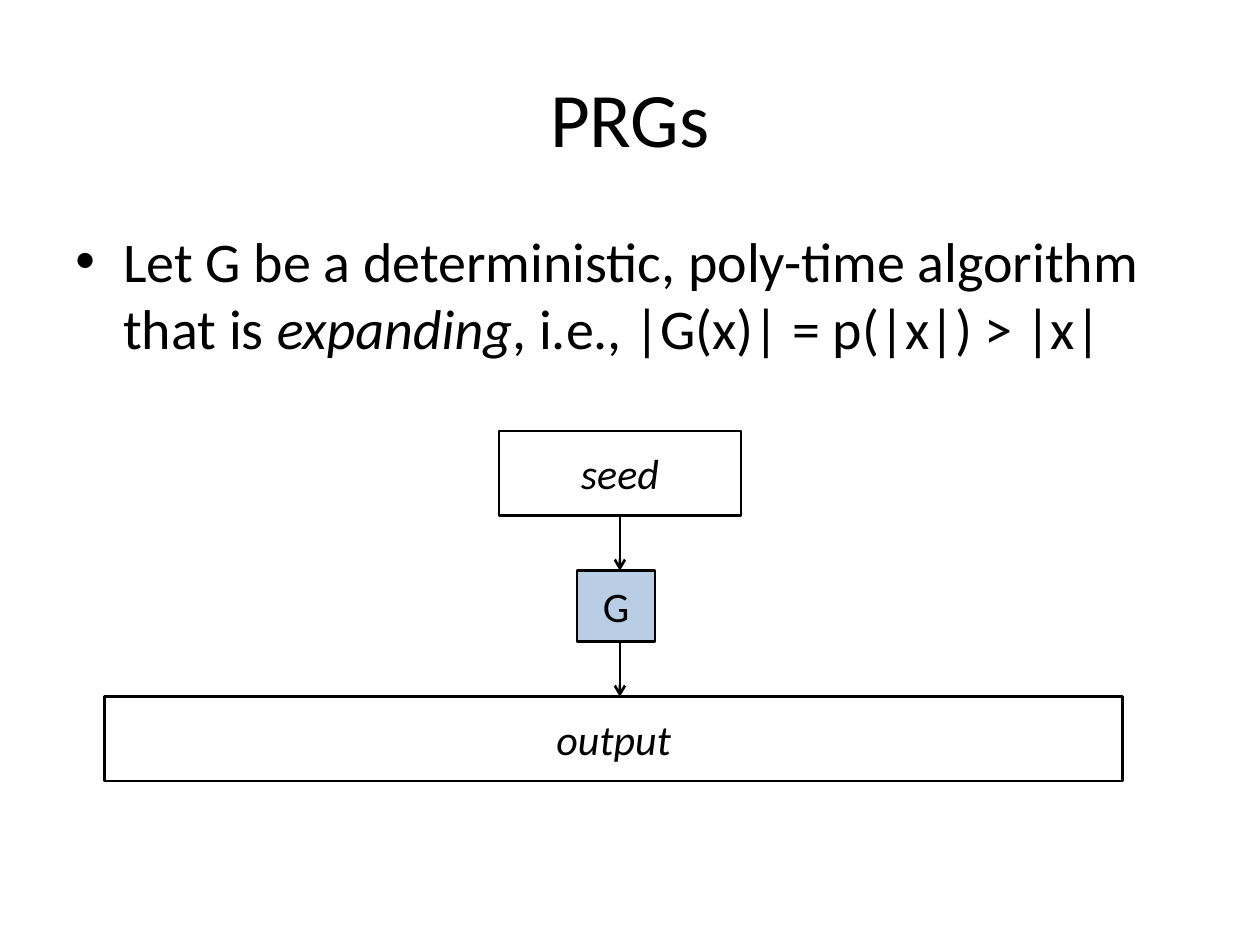
from typing import NamedTuple, Optional

from lxml.etree import SubElement
from pptx import Presentation
from pptx.dml.color import RGBColor
from pptx.enum.shapes import MSO_CONNECTOR, MSO_SHAPE
from pptx.enum.text import MSO_ANCHOR as Anchor, PP_ALIGN as Align
from pptx.oxml.ns import qn
from pptx.util import Inches, Pt

BLACK = RGBColor(0x00, 0x00, 0x00)
PALE_BLUE = RGBColor(0xB9, 0xCD, 0xE5)
FONT = "Calibri"
FLOW_X = 4.92  # both arrows run down this line


class Box(NamedTuple):
    label: str
    left: float
    top: float
    width: float
    height: float
    fill: Optional[RGBColor] = None
    italic: bool = True


SEED = Box("seed", 3.96, 3.42, 1.92, 0.67)
GENERATOR = Box("G", 4.58, 4.53, 0.62, 0.56, PALE_BLUE, False)
OUTPUT = Box("output", 0.83, 5.53, 8.08, 0.67)


def set_font(p, size: float) -> None:
    p.font.name = FONT
    p.font.size = Pt(size)
    p.font.color.rgb = BLACK


def add_box(slide, box: Box):
    s = slide.shapes.add_shape(MSO_SHAPE.RECTANGLE, *map(Inches, box[1:5]))
    s.shadow.inherit = False
    if box.fill is None:
        s.fill.background()
    else:
        s.fill.solid()
        s.fill.fore_color.rgb = box.fill
    s.line.color.rgb = BLACK
    s.line.width = Pt(1.5)
    tf = s.text_frame
    tf.vertical_anchor = Anchor.MIDDLE
    p = tf.paragraphs[0]
    p.text = box.label
    p.alignment = Align.CENTER
    set_font(p, 24)
    p.font.italic = box.italic
    return s


def add_arrow(slide, upper: Box, lower: Box):
    x = Inches(FLOW_X)
    c = slide.shapes.add_connector(
        MSO_CONNECTOR.STRAIGHT,
        x, Inches(upper.top + upper.height), x, Inches(lower.top))
    c.line.color.rgb = BLACK
    c.line.width = Pt(1.5)
    SubElement(c.line._get_or_add_ln(), qn("a:tailEnd"), type="arrow")
    SubElement(c._element.spPr, qn("a:effectLst"))
    return c


def add_bullet(slide) -> None:
    s = slide.shapes.add_textbox(*map(Inches, (0.5, 1.75, 9, 4.95)))
    tf = s.text_frame
    tf.word_wrap = True
    p = tf.paragraphs[0]
    set_font(p, 32)
    for text, italic in (
        ("Let G be a deterministic, poly-time algorithm that is ", False),
        ("expanding", True),
        (", i.e., |G(x)| = p(|x|) > |x|", False),
    ):
        r = p.add_run()
        r.text = text
        r.font.italic = italic
    # Hanging bullet, with space before in proportion to the text
    pPr = p._p.get_or_add_pPr()
    pPr.set("marL", str(Inches(0.38)))
    pPr.set("indent", str(-Inches(0.38)))
    before = pPr.makeelement(qn("a:spcBef"))
    SubElement(before, qn("a:spcPct"), val="20000")
    bullet_font = pPr.makeelement(qn("a:buFont"), typeface="Arial")
    bullet = pPr.makeelement(qn("a:buChar"), char="•")
    for i, element in enumerate((before, bullet_font, bullet)):
        pPr.insert(i, element)


def main() -> None:
    prs = Presentation()
    prs.slide_width, prs.slide_height = Inches(10), Inches(7.5)
    slide = prs.slides.add_slide(prs.slide_layouts[5])

    # Title
    title = slide.shapes.title
    title.left, title.top, title.width, title.height = map(
        Inches, (0.5, 0.3, 9, 1.25))
    title.text_frame.vertical_anchor = Anchor.MIDDLE
    p = title.text_frame.paragraphs[0]
    p.text = "PRGs"
    p.alignment = Align.CENTER
    set_font(p, 44)

    # Definition
    add_bullet(slide)

    # Diagram: the seed goes through G to the output
    seed = add_box(slide, SEED)
    add_arrow(slide, SEED, GENERATOR).begin_connect(seed, 2)
    add_box(slide, GENERATOR)
    add_arrow(slide, GENERATOR, OUTPUT)
    add_box(slide, OUTPUT)

    prs.save("out.pptx")


if __name__ == "__main__":
    main()
